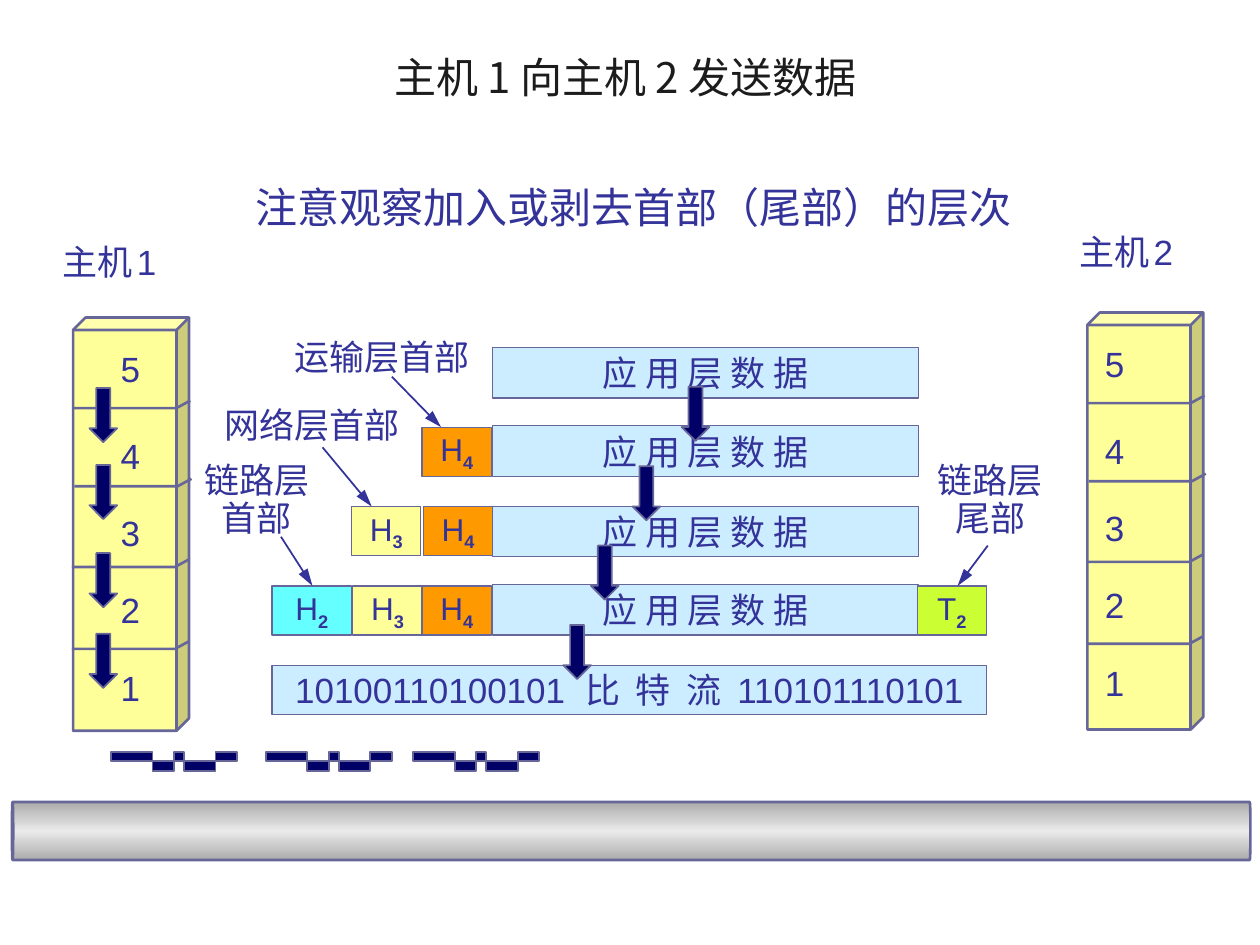
from copy import deepcopy
from typing import NamedTuple

from lxml import etree
from pptx import Presentation
from pptx.dml.color import RGBColor
from pptx.enum.shapes import MSO_CONNECTOR, MSO_SHAPE
from pptx.enum.text import MSO_ANCHOR, MSO_AUTO_SIZE, PP_ALIGN
from pptx.oxml.ns import qn
from pptx.util import Inches, Pt

RECTANGLE, CUBE, CAN = MSO_SHAPE.RECTANGLE, MSO_SHAPE.CUBE, MSO_SHAPE.CAN
DOWN_ARROW, STRAIGHT = MSO_SHAPE.DOWN_ARROW, MSO_CONNECTOR.STRAIGHT
LEFT, CENTER = PP_ALIGN.LEFT, PP_ALIGN.CENTER
MIDDLE, GROW = MSO_ANCHOR.MIDDLE, MSO_AUTO_SIZE.SHAPE_TO_FIT_TEXT

COLORS = {
    "title": "1C1C1C", "text": "333399", "outline": "666699", "arrow": "000066",
    "data": "CCECFF", "yellow": "FFFF99", "orange": "FF9900", "cyan": "66FFFF",
    "green": "CCFF33", "pipe_edge": "ACACAC", "pipe_middle": "EAEAEA",
}


class Box(NamedTuple):
    left: float
    top: float
    width: float
    height: float


class Host(NamedTuple):
    number: str
    cube: Box
    caption: Box
    digit_left: float
    shift_x: float
    shift_y: float


class Tile(NamedTuple):
    letter: str
    layer: str
    color: str
    box: Box


class Label(NamedTuple):
    lines: tuple
    box: Box
    start: tuple
    end: tuple


HOSTS = [
    Host("1", Box(0.58, 2.52, 0.92, 3.28), Box(0.4, 1.86, 1.01, 0.44), 0.86, 0, 0),
    Host("2", Box(8.63, 2.48, 0.92, 3.31), Box(8.47, 1.78, 1.01, 0.44), 8.67, 8.05, -0.04),
]
DIGIT_TOPS = {"5": 2.71, "4": 3.4, "3": 4.01, "2": 4.62, "1": 5.24}
LAYER_EDGES = [(0.58, 3.24), (0.59, 3.86), (0.57, 4.5), (0.57, 5.15)]
DATA_TOPS = [2.76, 3.38, 4.02, 4.64]
TILES = [
    Tile("H", "4", "orange", Box(3.35, 3.39, 0.55, 0.39)),
    Tile("H", "3", "yellow", Box(2.79, 4.02, 0.55, 0.39)),
    Tile("H", "4", "orange", Box(3.36, 4.02, 0.55, 0.39)),
    Tile("H", "2", "cyan", Box(2.16, 4.65, 0.63, 0.39)),
    Tile("H", "3", "yellow", Box(2.8, 4.65, 0.55, 0.39)),
    Tile("H", "4", "orange", Box(3.35, 4.65, 0.55, 0.39)),
    Tile("T", "2", "green", Box(7.28, 4.65, 0.55, 0.39)),
]
LABELS = [
    Label(("运输层首部",), Box(2.24, 2.61, 1.59, 0.44), (3.11, 2.99), (3.5, 3.39)),
    Label(("网络层首部",), Box(1.68, 3.15, 1.59, 0.44), (2.56, 3.55), (2.95, 4.02)),
    Label(("链路层", "首部"), Box(1.49, 3.63, 1.1, 0.7), (2.23, 4.26), (2.48, 4.65)),
    Label(("链路层", "尾部"), Box(7.31, 3.63, 1.1, 0.7), (7.84, 4.33), (7.6, 4.65)),
]
ARROWS = [(0.71, 3.08), (5.41, 3.07), (0.71, 3.69), (5.02, 3.7),
          (0.71, 4.39), (4.69, 4.33), (0.71, 5.03), (4.47, 4.96)]
SIGNAL_LEFTS = [0.88, 2.11, 3.28]
SIGNAL_OUTLINE = [(0, 0.07), (0, 0), (0.33, 0), (0.33, 0.15), (0.5, 0.15), (0.5, 0),
                  (0.58, 0), (0.58, 0.15), (0.83, 0.15), (0.83, 0), (1, 0), (1, 0.07)]


def rgb(name: str) -> RGBColor:
    return RGBColor.from_string(COLORS[name])


def emu(values) -> list:
    return [Inches(value) for value in values]


def style_paragraph(para, font: str, size: float, align, color: str = "text") -> None:
    para.alignment = align
    para.font.name = font
    para.font.size = Pt(size)
    para.font.color.rgb = rgb(color)


def style_shape(shape, fill: str | None, width: float) -> None:
    shape.shadow.inherit = False
    if fill:
        shape.fill.solid()
        shape.fill.fore_color.rgb = rgb(fill)
    else:
        shape.fill.background()
    shape.line.color.rgb = rgb("outline")
    shape.line.width = Pt(width)


def add_box(page, kind, box: Box, fill: str, width: float):
    shape = page.shapes.add_shape(kind, *emu(box))
    style_shape(shape, fill, width)
    return shape


def add_text(page, lines, box: Box, size: float = 20, font: str = "Arial", align=LEFT):
    frame = page.shapes.add_textbox(*emu(box)).text_frame
    frame.word_wrap = False
    frame.auto_size = GROW
    frame.text = "\n".join(lines)
    for para in frame.paragraphs:
        style_paragraph(para, font, size, align)
        if len(lines) > 1:
            para.line_spacing = 0.9
    return frame


def add_bar(page, box: Box, fill: str, text: str, size: float, font: str):
    frame = add_box(page, RECTANGLE, box, fill, 0.75).text_frame
    frame.word_wrap = False
    frame.vertical_anchor = MIDDLE
    frame.text = text
    style_paragraph(frame.paragraphs[0], font, size, CENTER)
    return frame.paragraphs[0]


def add_outline(page, points, closed: bool, fill: str | None, width: float) -> None:
    first, *rest = [tuple(emu(point)) for point in points]
    builder = page.shapes.build_freeform(*first)
    builder.add_line_segments(rest, close=closed)
    style_shape(builder.convert_to_shape(), fill, width)


def add_host(page, host: Host) -> None:
    add_box(page, CUBE, host.cube, "yellow", 1.5).adjustments[0] = 0.108
    for digit, top in DIGIT_TOPS.items():
        add_text(page, [digit], Box(host.digit_left, top + host.shift_y, 0.35, 0.44))
    for left, top in LAYER_EDGES:
        x, y = left + host.shift_x, top + host.shift_y
        add_outline(page, [(x, y), (x + 0.82, y), (x + 0.93, y - 0.06)], False, None, 1.5)
    para = add_text(page, ["主机"], host.caption).paragraphs[0]
    gap = para.add_run()
    gap.text = " "
    gap.font.size = Pt(10)
    para.add_run().text = host.number


def add_tile(page, tile: Tile) -> None:
    para = add_bar(page, tile.box, tile.color, tile.letter, 18, "Arial")
    span = para.add_run()
    span.text = tile.layer
    span.font.bold = True
    span._r.get_or_add_rPr().set("baseline", "-25000")


def add_label(page, label: Label) -> None:
    align = CENTER if len(label.lines) > 1 else LEFT
    add_text(page, label.lines, label.box, font="Quicksand", align=align)
    pointer = page.shapes.add_connector(STRAIGHT, *emu(label.start + label.end))
    pointer.line.color.rgb = rgb("text")
    pointer.line.width = Pt(1)
    etree.SubElement(pointer.line._get_or_add_ln(), qn("a:tailEnd"), type="triangle", len="lg")
    etree.SubElement(pointer._element.spPr, qn("a:effectLst"))


def add_pipe(page) -> None:
    pipe = add_box(page, CAN, Box(4.78, 1.68, 0.46, 9.83), "pipe_edge", 1.5)
    pipe.rotation = 270
    pipe.adjustments[0] = 0.023
    pipe.fill.gradient()
    pipe.fill.gradient_angle = 0
    first = pipe.fill.gradient_stops[0]._gs
    first.addnext(deepcopy(first))
    shades = [(0, "pipe_edge"), (0.5, "pipe_middle"), (1, "pipe_edge")]
    for stop, (position, color) in zip(pipe.fill.gradient_stops, shades):
        stop.position = position
        stop.color.rgb = rgb(color)


def main() -> None:
    deck = Presentation()
    deck.slide_width, deck.slide_height = Inches(10), Inches(7.5)
    page = deck.slides.add_slide(deck.slide_layouts[6])

    # Title and hint
    title = page.shapes.add_textbox(*emu(Box(0.5, 0.3, 9, 0.61))).text_frame
    title.word_wrap = True
    title.vertical_anchor = MIDDLE
    title.text = "主机 1 向主机 2 发送数据 "
    style_paragraph(title.paragraphs[0], "Noto Sans CJK SC", 24, CENTER, "title")
    add_text(page, ["注意观察加入或剥去首部（尾部）的层次"], Box(1.93, 1.39, 6.2, 0.5), 24)

    # Cable and the two hosts
    add_pipe(page)
    for host in HOSTS:
        add_host(page, host)

    # Data units of each layer, with headers and trailer
    for top in DATA_TOPS:
        add_bar(page, Box(3.91, top, 3.38, 0.4), "data", "应 用 层 数 据", 20, "Lato")
    add_bar(page, Box(2.16, 5.28, 5.67, 0.39), "data",
            "10100110100101  比  特  流  110101110101", 20, "Arial")
    for tile in TILES:
        add_tile(page, tile)
    for label in LABELS:
        add_label(page, label)

    # Signals on the cable and downward arrows
    for left in SIGNAL_LEFTS:
        points = [(left + x, 5.97 + y) for x, y in SIGNAL_OUTLINE]
        add_outline(page, points, True, "arrow", 1)
    for left, top in ARROWS:
        add_box(page, DOWN_ARROW, Box(left, top, 0.22, 0.43), "arrow", 1)

    deck.save("out.pptx")


if __name__ == "__main__":
    main()
